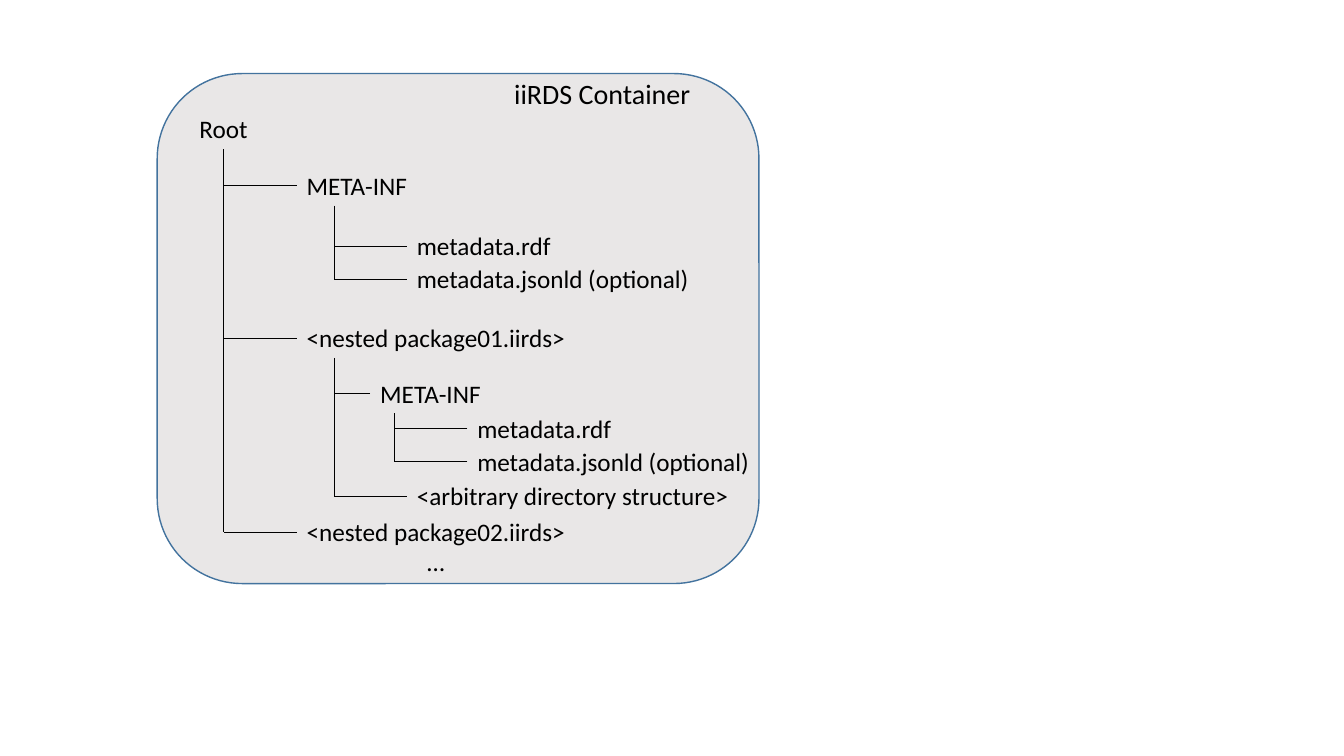
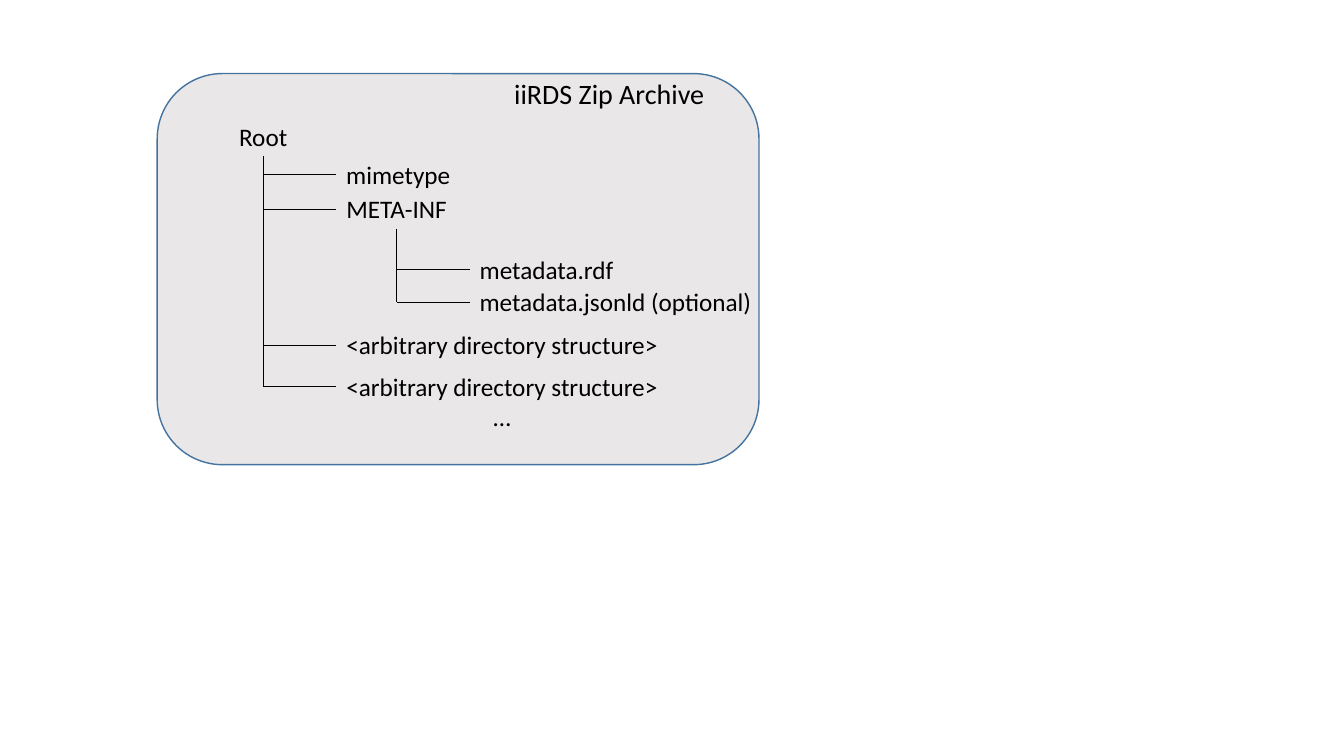
from dataclasses import dataclass

from lxml.etree import SubElement
from pptx import Presentation
from pptx.dml.color import RGBColor
from pptx.enum.shapes import MSO_CONNECTOR, MSO_SHAPE
from pptx.enum.text import MSO_ANCHOR, MSO_AUTO_SIZE, PP_ALIGN
from pptx.oxml.ns import qn
from pptx.util import Inches, Pt


@dataclass(frozen=True)
class Theme:
    font: str = "Calibri"
    ink: RGBColor = RGBColor(0, 0, 0)
    panel: RGBColor = RGBColor(0xE9, 0xE7, 0xE7)
    edge: RGBColor = RGBColor(0x43, 0x73, 0x9E)
    title_size: int = Pt(20)
    label_size: int = Pt(18)
    edge_width: int = Pt(1)
    branch_width: int = Pt(0.5)


@dataclass(frozen=True)
class Node:
    label: str
    row: float
    children: tuple = ()
    trunk: float = 1.11
    reach: float = 2.17


THEME = Theme()
WIDTH, HEIGHT = Inches(13.33), Inches(7.5)
COLS, ROWS = 40, 30
LINE_ROWS, NEXT_LINE_ROWS, BRANCH_DROP = 1.6, 1.24, 0.81
PANEL_LEFT, PANEL_TOP, PANEL_COLS = 4.68, 2.92, 17.91
TITLE_LEFT, TITLE_TOP, TITLE_ROWS = 15, 2.84, 1.76
FRAME = {
    "word_wrap": False,
    "auto_size": MSO_AUTO_SIZE.SHAPE_TO_FIT_TEXT,
    "vertical_anchor": MSO_ANCHOR.TOP,
}

ROOT, META, RDF = "Root", "META-INF", "metadata.rdf"
JSONLD = "metadata.jsonld (optional)"
DIRECTORY = "<arbitrary directory structure>"
PACKAGE_1, PACKAGE_2 = "<nested package01.iirds>", "<nested package02.iirds>"
LABEL_COLS = {
    ROOT: 2.04,
    "mimetype": 3.75,
    META: 3.63,
    RDF: 4.62,
    JSONLD: 8.79,
    PACKAGE_1: 8.37,
    PACKAGE_2: 8.37,
    DIRECTORY: 9.96,
}

CONTAINER = Node(ROOT, 4.32, trunk=1.02, children=(
    Node(META, 6.56, (Node(RDF, 8.96), Node(JSONLD, 10.26))),
    Node(PACKAGE_1, 12.6, (
        Node(META, 14.8, (Node(RDF, 16.2), Node(JSONLD, 17.5)),
             trunk=0.72, reach=1.08),
        Node(DIRECTORY, 18.88),
    )),
    Node(PACKAGE_2 + "\n…", 20.3),
))
ARCHIVE = Node(ROOT, 4.6, trunk=1.02, children=(
    Node("mimetype", 6.12),
    Node(META, 7.48, (Node(RDF, 9.88), Node(JSONLD, 11.18)), trunk=1.8),
    Node(DIRECTORY, 12.88),
    Node(DIRECTORY + "\n…", 14.52),
))


def x(cols):
    return round(WIDTH * cols / COLS)


def y(rows):
    return round(HEIGHT * rows / ROWS)


def apply(obj, fmt):
    for name, value in fmt.items():
        setattr(obj, name, value)


def place(sp, left, top, cols, rows):
    apply(sp, {"left": x(left), "top": y(top), "width": x(cols), "height": y(rows)})


def write(sp, text, size):
    tf = sp.text_frame
    tf.text = text
    apply(tf, FRAME)
    for i, p in enumerate(tf.paragraphs):
        p.alignment = PP_ALIGN.CENTER if i else PP_ALIGN.LEFT
        for r in p.runs:
            apply(r.font, {"name": THEME.font, "size": size})
            r.font.color.rgb = THEME.ink


def stroke(line, color, width):
    line.color.rgb = color
    line.width = width


def add_panel(s, rows):
    sp = s.shapes.add_shape(
        MSO_SHAPE.ROUNDED_RECTANGLE,
        x(PANEL_LEFT), y(PANEL_TOP), x(PANEL_COLS), y(rows))
    sp.shadow.inherit = False
    sp.fill.solid()
    sp.fill.fore_color.rgb = THEME.panel
    stroke(sp.line, THEME.edge, THEME.edge_width)
    return sp


def add_line(s, x1, y1, x2, y2):
    c = s.shapes.add_connector(MSO_CONNECTOR.STRAIGHT, x(x1), y(y1), x(x2), y(y2))
    stroke(c.line, THEME.ink, THEME.branch_width)
    SubElement(c.element.spPr, qn("a:effectLst"))


def add_label(s, text, left, top):
    first, *rest = text.split("\n")
    rows = LINE_ROWS + NEXT_LINE_ROWS * len(rest)
    sp = s.shapes.add_textbox(x(left), y(top), x(LABEL_COLS[first]), y(rows))
    write(sp, text, THEME.label_size)


def add_tree(s, node, left):
    add_label(s, node.label, left, node.row)
    if not node.children:
        return
    trunk = left + node.trunk
    last = node.children[-1].row + BRANCH_DROP
    add_line(s, trunk, node.row + LINE_ROWS, trunk, last)
    for child in node.children:
        level = child.row + BRANCH_DROP
        add_line(s, trunk + child.reach, level, trunk, level)
        add_tree(s, child, trunk + child.reach)


def add_package_slide(prs, title, title_cols, panel_rows, tree, tree_left):
    s = prs.slides.add_slide(prs.slide_layouts.get_by_name("Title Only"))
    panel = add_panel(s, panel_rows)
    heading = s.shapes.title
    panel.element.addnext(heading.element)
    place(heading, TITLE_LEFT, TITLE_TOP, title_cols, TITLE_ROWS)
    write(heading, title, THEME.title_size)
    add_tree(s, tree, tree_left)


def main():
    prs = Presentation()
    apply(prs, {"slide_width": WIDTH, "slide_height": HEIGHT})
    add_package_slide(prs, "iiRDS Container", 5.91, 20.24, CONTAINER, 5.64)
    add_package_slide(prs, "iiRDS Zip Archive", 6.33, 15.52, ARCHIVE, 6.82)
    prs.save("out.pptx")


if __name__ == "__main__":
    main()
